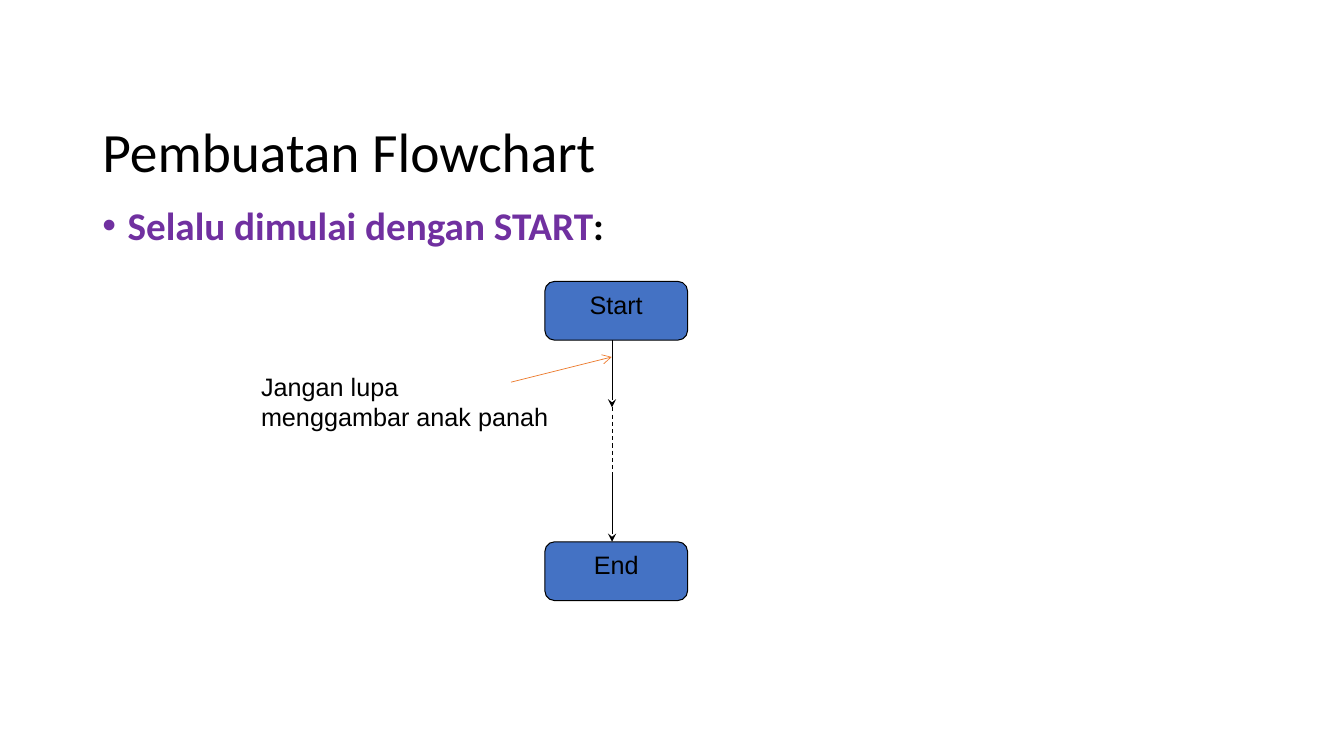
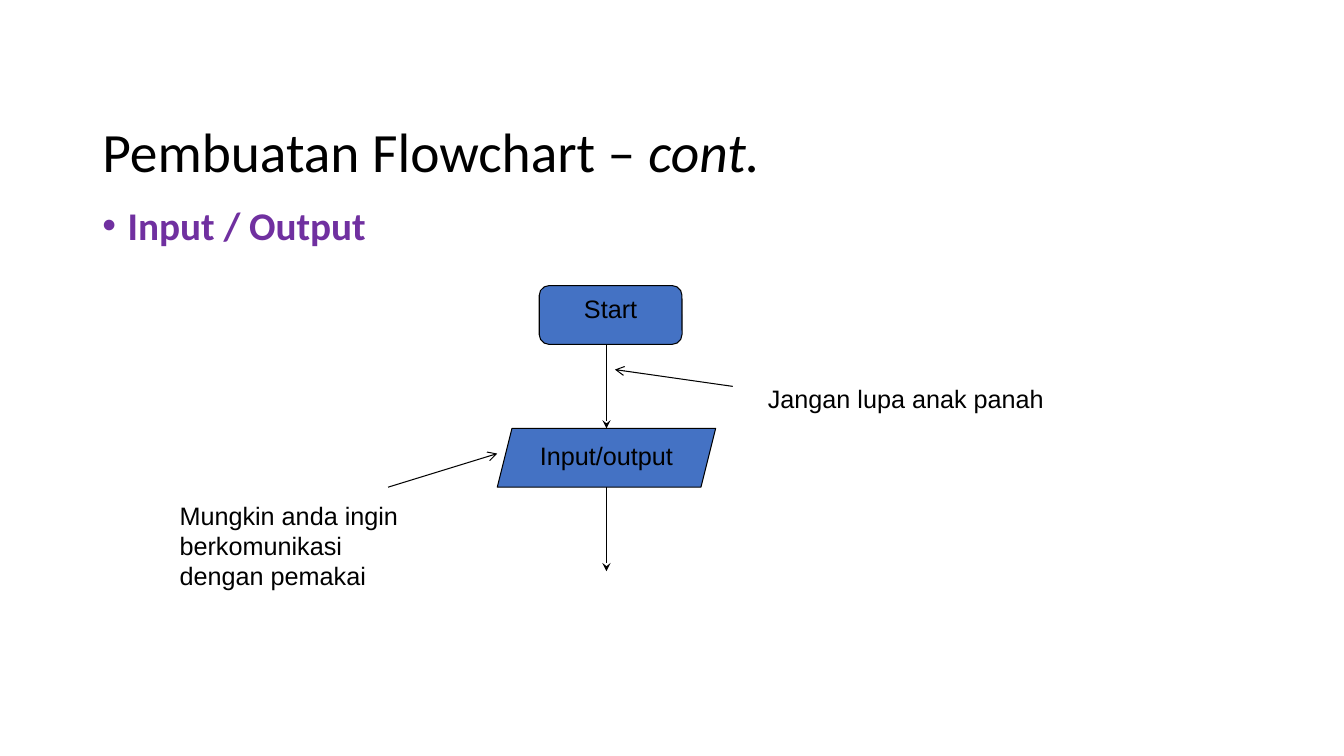
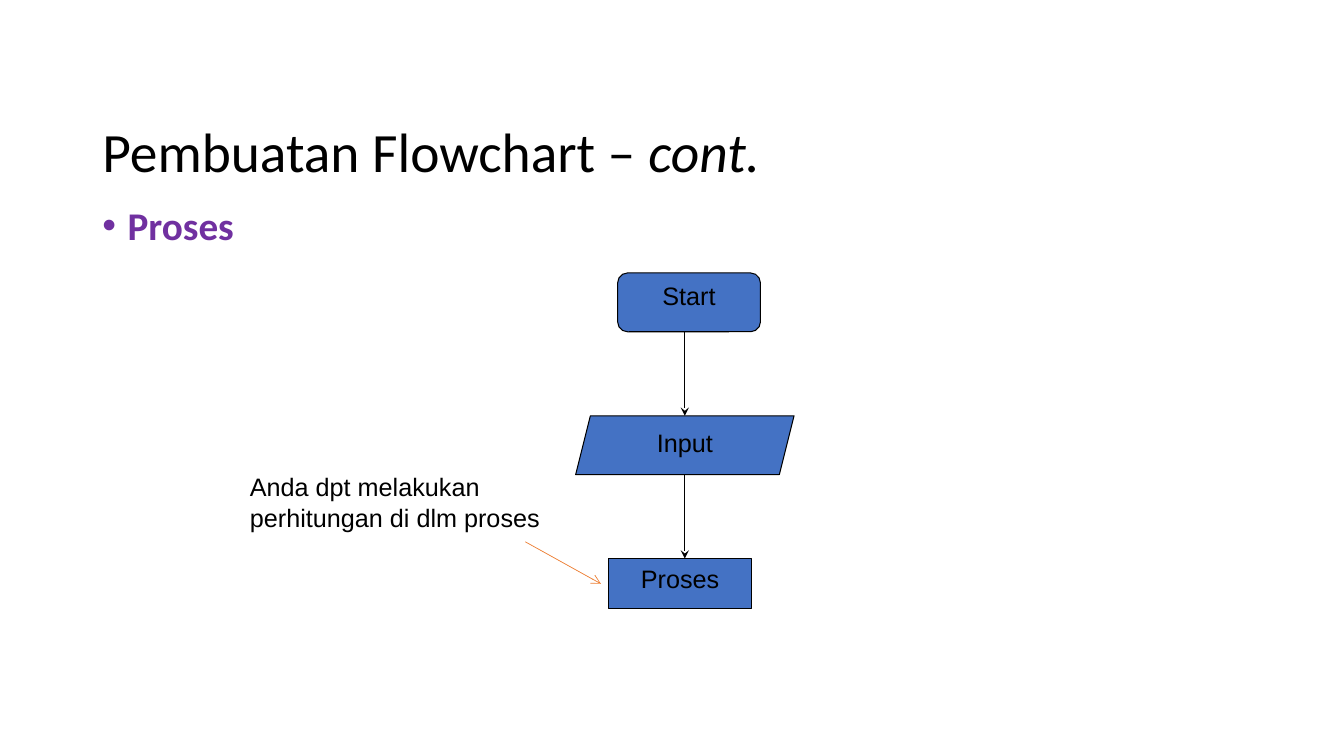
from dataclasses import dataclass
from typing import Any

from lxml import etree
from pptx import Presentation
from pptx.dml.color import RGBColor
from pptx.enum.dml import MSO_LINE
from pptx.enum.shapes import MSO_CONNECTOR, MSO_SHAPE
from pptx.enum.text import MSO_ANCHOR, MSO_AUTO_SIZE, PP_ALIGN
from pptx.oxml.ns import qn
from pptx.util import Pt

DASH = MSO_LINE.DASH
STRAIGHT = MSO_CONNECTOR.STRAIGHT
TERMINAL = MSO_SHAPE.ROUNDED_RECTANGLE
DATA = MSO_SHAPE.PARALLELOGRAM
PROCESS = MSO_SHAPE.RECTANGLE
TOP, MIDDLE = MSO_ANCHOR.TOP, MSO_ANCHOR.MIDDLE
NO_FIT, GROW = MSO_AUTO_SIZE.NONE, MSO_AUTO_SIZE.SHAPE_TO_FIT_TEXT
LEFT, CENTER = PP_ALIGN.LEFT, PP_ALIGN.CENTER


@dataclass(frozen=True)
class Theme:
    ink: str = "000000"
    box: str = "4472C4"
    topic: str = "7030A0"
    accent: str = "ED7D31"
    heading_font: str = "Calibri"
    label_font: str = "Arial"
    title_size: float = 39.6
    topic_size: float = 28
    label_size: float = 18
    line: float = 0.75
    thin: float = 0.5


T = Theme()


@dataclass(frozen=True)
class Style:
    font: str
    size: float
    color: str = T.ink
    bold: bool = False
    italic: bool = False


TITLE = Style(T.heading_font, T.title_size)
TITLE_ITALIC = Style(T.heading_font, T.title_size, italic=True)
TOPIC = Style(T.heading_font, T.topic_size, T.topic, bold=True)
TOPIC_INK = Style(T.heading_font, T.topic_size, bold=True)
LABEL = Style(T.label_font, T.label_size)


@dataclass(frozen=True)
class Span:
    text: str
    style: Style


@dataclass(frozen=True)
class Kind:
    shape: Any
    offset: float
    width: float
    height: float


START_END = Kind(TERMINAL, 48, 102, 42)
INPUT_OUTPUT = Kind(DATA, 78, 156, 42)
STEP = Kind(PROCESS, 54.4, 102, 36)


@dataclass(frozen=True)
class Node:
    text: str
    kind: Kind
    top: float


@dataclass(frozen=True)
class Link:
    top: float
    bottom: float
    dashed: bool = False


@dataclass(frozen=True)
class Note:
    lines: tuple[str, ...]
    box: tuple[float, float, float, float]
    begin: tuple[float, float]
    end: tuple[float, float]
    color: str = T.ink
    weight: float = T.line


@dataclass(frozen=True)
class Page:
    title: tuple[Span, ...]
    topic: tuple[Span, ...]
    axis: float
    nodes: tuple[Node, ...]
    links: tuple[Link, ...]
    notes: tuple[Note, ...]


FIRST_TITLE = (Span("Pembuatan Flowchart", TITLE),)
NEXT_TITLE = (Span("Pembuatan Flowchart – ", TITLE), Span("cont.", TITLE_ITALIC))

PAGES = (
    Page(
        FIRST_TITLE,
        (Span("Selalu dimulai dengan START", TOPIC), Span(":", TOPIC_INK)),
        437.2,
        (Node("Start", START_END, 201), Node("End", START_END, 387)),
        (Link(243, 291), Link(291, 339, dashed=True), Link(339, 387)),
        (
            Note(("Jangan lupa", "menggambar anak panah"), (179.4, 261.4, 222, 51),
                 (365, 273), (437, 255), T.accent, T.thin),
        ),
    ),
    Page(
        NEXT_TITLE,
        (Span("Input / Output", TOPIC),),
        433.2,
        (Node("Start", START_END, 204), Node("Input/output", INPUT_OUTPUT, 306)),
        (Link(246, 306), Link(348, 408)),
        (
            Note(("Jangan lupa anak panah",), (541.4, 270, 213, 29),
                 (523.4, 276), (439.2, 264)),
            Note(("Mungkin anda ingin", "berkomunikasi", "dengan pemakai"),
                 (121.2, 353.6, 177, 73), (277.2, 348), (355.2, 324)),
        ),
    ),
    Page(
        NEXT_TITLE,
        (Span("Proses", TOPIC),),
        489.2,
        (
            Node("Start", START_END, 195),
            Node("Input", INPUT_OUTPUT, 297),
            Node("Proses", STEP, 399),
        ),
        (Link(237, 297), Link(339, 399)),
        (
            Note(("Anda dpt melakukan", "perhitungan di dlm proses"),
                 (171.4, 333.4, 223, 51), (375.2, 387), (429.2, 417),
                 T.accent, T.thin),
        ),
    ),
)


def apply(obj: Any, values: dict[str, Any]) -> None:
    for name, value in values.items():
        setattr(obj, name, value)


def write(tf: Any, paragraphs: list[tuple[Span, ...]], frame: dict[str, Any],
          layout: dict[str, Any]) -> None:
    apply(tf, frame)
    for i, spans in enumerate(paragraphs):
        p = tf.add_paragraph() if i else tf.paragraphs[0]
        apply(p, layout)
        for span in spans:
            r = p.add_run()
            r.text = span.text
            st = span.style
            apply(r.font, {"name": st.font, "size": Pt(st.size),
                           "bold": st.bold, "italic": st.italic})
            r.font.color.rgb = RGBColor.from_string(st.color)


def place(sp: Any, left: float, top: float, width: float, height: float) -> None:
    apply(sp, {"left": Pt(left), "top": Pt(top), "width": Pt(width), "height": Pt(height)})


def add_headings(s: Any, page: Page) -> None:
    layout = {"alignment": LEFT, "line_spacing": 0.9, "space_before": Pt(0)}
    title, body = s.shapes.title, s.placeholders[1]
    place(title, 66, 90.6, 828, 39)
    write(title.text_frame, [page.title],
          {"vertical_anchor": MIDDLE, "auto_size": NO_FIT}, layout)
    place(body, 66, 144, 828, 342.6)
    write(body.text_frame, [page.topic],
          {"vertical_anchor": TOP, "auto_size": NO_FIT}, layout)
    pPr = body.text_frame.paragraphs[0]._p.get_or_add_pPr()
    pPr.set("marL", str(Pt(18)))
    pPr.set("indent", str(Pt(-18)))
    etree.SubElement(pPr, qn("a:buChar")).set("char", "•")


def add_node(s: Any, node: Node, axis: float) -> None:
    k = node.kind
    sp = s.shapes.add_shape(k.shape, Pt(axis - k.offset), Pt(node.top),
                            Pt(k.width), Pt(k.height))
    sp.shadow.inherit = False
    sp.fill.solid()
    sp.fill.fore_color.rgb = RGBColor.from_string(T.box)
    sp.line.color.rgb = RGBColor.from_string(T.ink)
    sp.line.width = Pt(T.line)
    write(sp.text_frame, [(Span(node.text, LABEL),)],
          {"vertical_anchor": TOP, "word_wrap": True}, {"alignment": CENTER})


def add_line(s: Any, begin: tuple[float, float], end: tuple[float, float], head: str = "",
             color: str = T.ink, weight: float = T.line) -> None:
    cx = s.shapes.add_connector(STRAIGHT, *map(Pt, begin + end))
    cx.line.color.rgb = RGBColor.from_string(color)
    cx.line.width = Pt(weight)
    if head:
        ln = cx.line._get_or_add_ln()
        etree.SubElement(ln, qn("a:tailEnd")).set("type", head)
    else:
        cx.line.dash_style = DASH
    etree.SubElement(cx._element.spPr, qn("a:effectLst"))


def add_note(s: Any, note: Note) -> None:
    sp = s.shapes.add_textbox(*map(Pt, note.box))
    write(sp.text_frame, [(Span(line, LABEL),) for line in note.lines],
          {"word_wrap": False, "auto_size": GROW}, {"alignment": LEFT})
    add_line(s, note.begin, note.end, "arrow", note.color, note.weight)


def main() -> None:
    prs = Presentation()
    prs.slide_width, prs.slide_height = Pt(960), Pt(540)
    for page in PAGES:
        s = prs.slides.add_slide(prs.slide_layouts[1])
        add_headings(s, page)
        for node in page.nodes:
            add_node(s, node, page.axis)
        for link in page.links:
            add_line(s, (page.axis, link.top), (page.axis, link.bottom),
                     "" if link.dashed else "stealth")
        for note in page.notes:
            add_note(s, note)
    prs.save("out.pptx")


if __name__ == "__main__":
    main()
